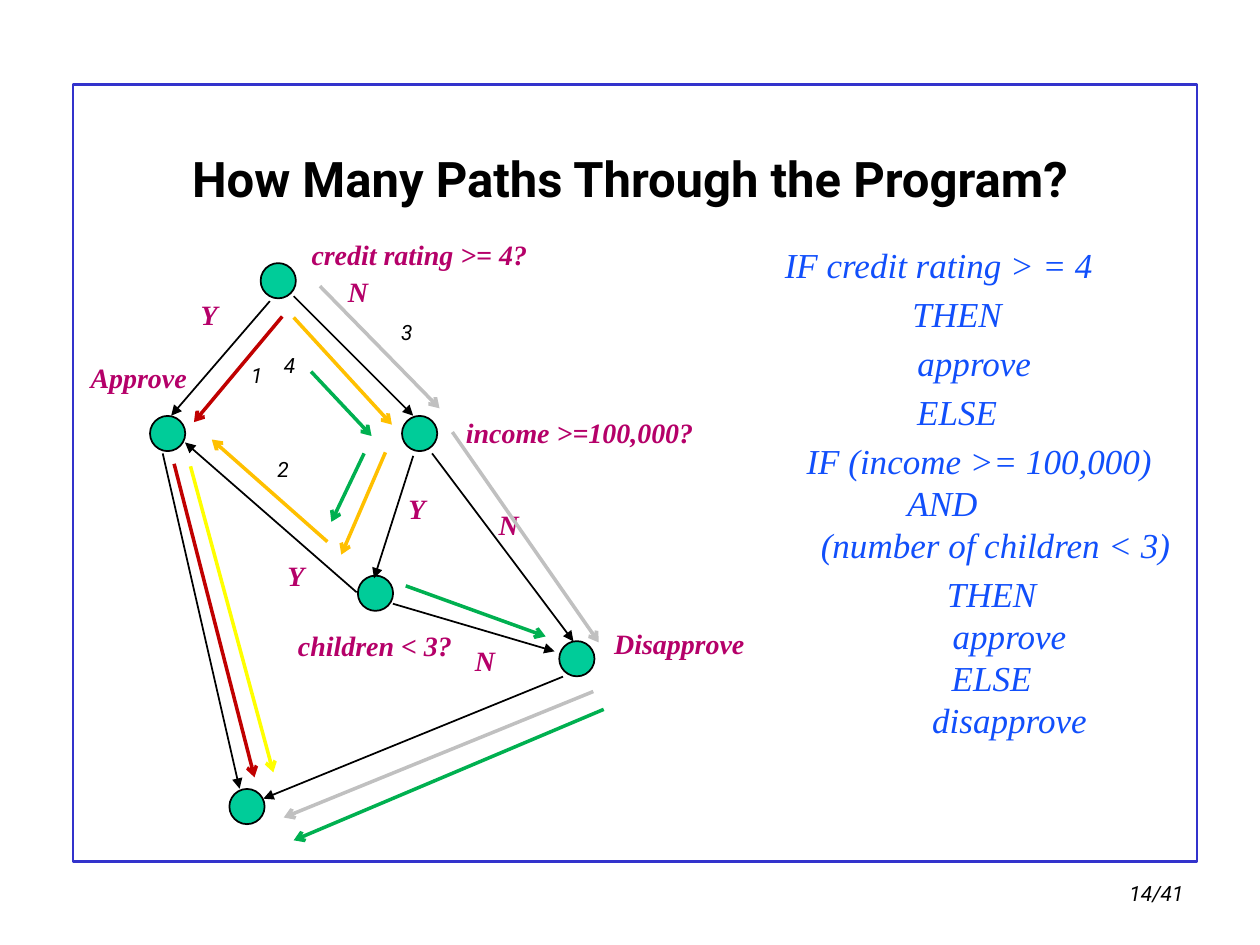
from lxml.etree import SubElement
from pptx import Presentation
from pptx.dml.color import RGBColor
from pptx.enum.shapes import MSO_CONNECTOR, MSO_SHAPE
from pptx.enum.text import MSO_ANCHOR, MSO_AUTO_SIZE, PP_ALIGN
from pptx.oxml.ns import qn
from pptx.util import Cm, Pt

BLACK = RGBColor(0x00, 0x00, 0x00)
FRAME_BLUE = RGBColor(0x33, 0x33, 0xCC)
CODE_BLUE = RGBColor(0x11, 0x4F, 0xFB)
MAGENTA = RGBColor(0xB5, 0x00, 0x69)
NODE_GREEN = RGBColor(0x00, 0xCC, 0x99)
RED = RGBColor(0xC0, 0x00, 0x00)
GREY = RGBColor(0xC0, 0xC0, 0xC0)
ORANGE = RGBColor(0xFF, 0xC0, 0x00)
YELLOW = RGBColor(0xFF, 0xFF, 0x00)
GREEN = RGBColor(0x00, 0xB0, 0x50)
SANS, SERIF = "Roboto", "Times New Roman"

# Content; all lengths are in centimetres
TITLE = "How Many Paths Through the Program?"
PAGE_NUMBER = "14/41"

# Code lines: text, space before in points, left indent, right indent
CODE = [
    ("IF credit rating > = 4", 0, 0, 0.23),
    ("THEN", 4, 0.51, 0),
    ("approve", 4, 1.2, 0),
    ("ELSE", 4, 0.51, 0),
    ("IF (income >= 100,000)", 4, 1.4, 0),
    ("AND", 0, 0, 0.08),
    ("(number of children < 3)", 0, 2.06, 0),
    ("THEN", 4, 1.9, 0),
    ("approve", 0, 2.62, 0),
    ("ELSE", 0, 1.9, 0),
    ("disapprove", 0, 2.62, 0),
]

# Node centres
NODE_SIZE = 0.71
NODES = [(5.61, 5.66), (3.38, 8.74), (8.46, 8.74),
         (7.57, 11.96), (11.63, 13.28), (4.98, 16.26)]

# Labels: text, left, top, width
LABEL_HEIGHT = 0.91
LABELS = [
    ("credit rating >= 4?", 5.94, 4.67, 5.03),
    ("Approve", 1.5, 7.14, 2.59),
    ("income >=100,000?", 9.12, 8.26, 5.13),
    ("children < 3?", 5.72, 12.55, 3.68),
    ("Disapprove", 12.07, 12.5, 3.25),
    ("Y", 3.76, 5.87, 0.91),
    ("Y", 7.95, 9.78, 0.91),
    ("Y", 5.51, 11.13, 0.91),
    ("N", 6.76, 5.41, 0.91),
    ("N", 9.8, 10.11, 0.91),
    ("N", 9.32, 12.85, 0.91),
]

# Flow graph edges: start x, start y, end x, end y
EDGES = [
    (5.92, 5.97, 8.33, 8.38), (5.44, 6.07, 3.45, 8.38),
    (8.33, 9.19, 7.54, 11.66), (7.19, 11.94, 3.73, 8.92),
    (3.28, 9.14, 4.83, 15.9), (8.71, 9.14, 11.56, 12.93),
    (7.92, 12.17, 11.18, 13.13), (11.35, 13.64, 5.31, 16.1),
]

# Numbered paths: number, number position, coloured steps
PATHS = [
    ("1", (4.75, 7.19), [(RED, (5.69, 6.38, 3.91, 8.51)),
                         (RED, (3.51, 9.35, 5.13, 15.67))]),
    ("3", (7.77, 6.32), [(GREY, (6.45, 5.77, 8.86, 8.23)),
                         (GREY, (9.12, 8.71, 12.07, 12.95)),
                         (GREY, (11.96, 13.94, 5.72, 16.48))]),
    ("2", (5.28, 9.07), [(ORANGE, (5.92, 6.4, 7.9, 8.56)),
                         (ORANGE, (7.77, 9.12, 6.88, 11.18)),
                         (ORANGE, (6.6, 10.92, 4.27, 8.86)),
                         (YELLOW, (3.84, 9.4, 5.51, 15.57))]),
    ("4", (5.41, 6.99), [(GREEN, (6.27, 7.49, 7.49, 8.79)),
                         (GREEN, (7.34, 9.14, 6.68, 10.52)),
                         (GREEN, (8.18, 11.81, 11, 12.83)),
                         (GREEN, (12.17, 14.3, 5.92, 16.94))]),
]


def write(para, text, font=SERIF, size=16, color=MAGENTA, bold=False, italic=True):
    para.alignment = PP_ALIGN.CENTER
    span = para.add_run()
    span.text = text
    span.font.name = font
    span.font.size = Pt(size)
    span.font.bold = bold
    span.font.italic = italic
    span.font.color.rgb = color


def place(shape, left, top, width, height):
    shape.left, shape.top = Cm(left), Cm(top)
    shape.width, shape.height = Cm(width), Cm(height)


def add_label(slide, text, left, top, width, height, **style):
    box = slide.shapes.add_textbox(Cm(left), Cm(top), Cm(width), Cm(height))
    box.text_frame.word_wrap = False
    write(box.text_frame.paragraphs[0], text, **style)


def add_arrow(slide, ends, color=BLACK, weight=1, head="triangle"):
    arrow = slide.shapes.add_connector(MSO_CONNECTOR.STRAIGHT, *map(Cm, ends))
    arrow.line.color.rgb = color
    arrow.line.width = Pt(weight)
    SubElement(arrow.line._get_or_add_ln(), qn("a:tailEnd"), type=head)
    SubElement(arrow._element.spPr, qn("a:effectLst"))


def add_outlined(slide, kind, bounds, color, weight, fill=None):
    shape = slide.shapes.add_shape(kind, *map(Cm, bounds))
    shape.shadow.inherit = False
    shape.line.color.rgb = color
    shape.line.width = Pt(weight)
    if fill is None:
        shape.fill.background()
    else:
        shape.fill.solid()
        shape.fill.fore_color.rgb = fill


def fill_code(body):
    place(body, 13.82, 4.78, 10.44, 10.67)
    frame = body.text_frame
    frame.word_wrap = True
    frame.auto_size = MSO_AUTO_SIZE.NONE
    for number, (text, before, left, right) in enumerate(CODE):
        para = frame.add_paragraph() if number else frame.paragraphs[0]
        para.line_spacing = Pt(24)
        para.space_before = Pt(before)
        write(para, text, size=20, color=CODE_BLUE)
        properties = para._p.get_or_add_pPr()
        for name, value in (("marL", Cm(left)), ("marR", Cm(right)), ("indent", 0)):
            properties.set(name, str(int(value)))
        SubElement(properties, qn("a:buNone"))


def main():
    deck = Presentation()
    deck.slide_width, deck.slide_height = Cm(25.4), Cm(19.05)
    slide = deck.slides.add_slide(deck.slide_layouts[1])

    # Frame, title, code and page number
    add_outlined(slide, MSO_SHAPE.RECTANGLE, (1.47, 1.7, 22.66, 15.67), FRAME_BLUE, 1.5)
    title = slide.shapes.title
    place(title, 1.9, 1.98, 21.59, 3.2)
    title.text_frame.vertical_anchor = MSO_ANCHOR.MIDDLE
    write(title.text_frame.paragraphs[0], TITLE, font=SANS, size=28,
          color=BLACK, bold=True, italic=False)
    fill_code(slide.placeholders[1])
    add_label(slide, PAGE_NUMBER, 22.5, 17.63, 1.63, 0.76,
              font=SANS, size=12, color=BLACK)

    # Flow graph
    for x, y in NODES:
        bounds = (x - NODE_SIZE / 2, y - NODE_SIZE / 2, NODE_SIZE, NODE_SIZE)
        add_outlined(slide, MSO_SHAPE.OVAL, bounds, BLACK, 1, NODE_GREEN)
    for ends in EDGES:
        add_arrow(slide, ends)
    for text, left, top, width in LABELS:
        add_label(slide, text, left, top, width, LABEL_HEIGHT, bold=True)

    # Numbered paths
    for number, (left, top), steps in PATHS:
        for color, ends in steps:
            add_arrow(slide, ends, color, 2, "arrow")
        add_label(slide, number, left, top, 0.86, 1.02,
                  font=SANS, size=12, color=BLACK)

    deck.save("out.pptx")


if __name__ == "__main__":
    main()
